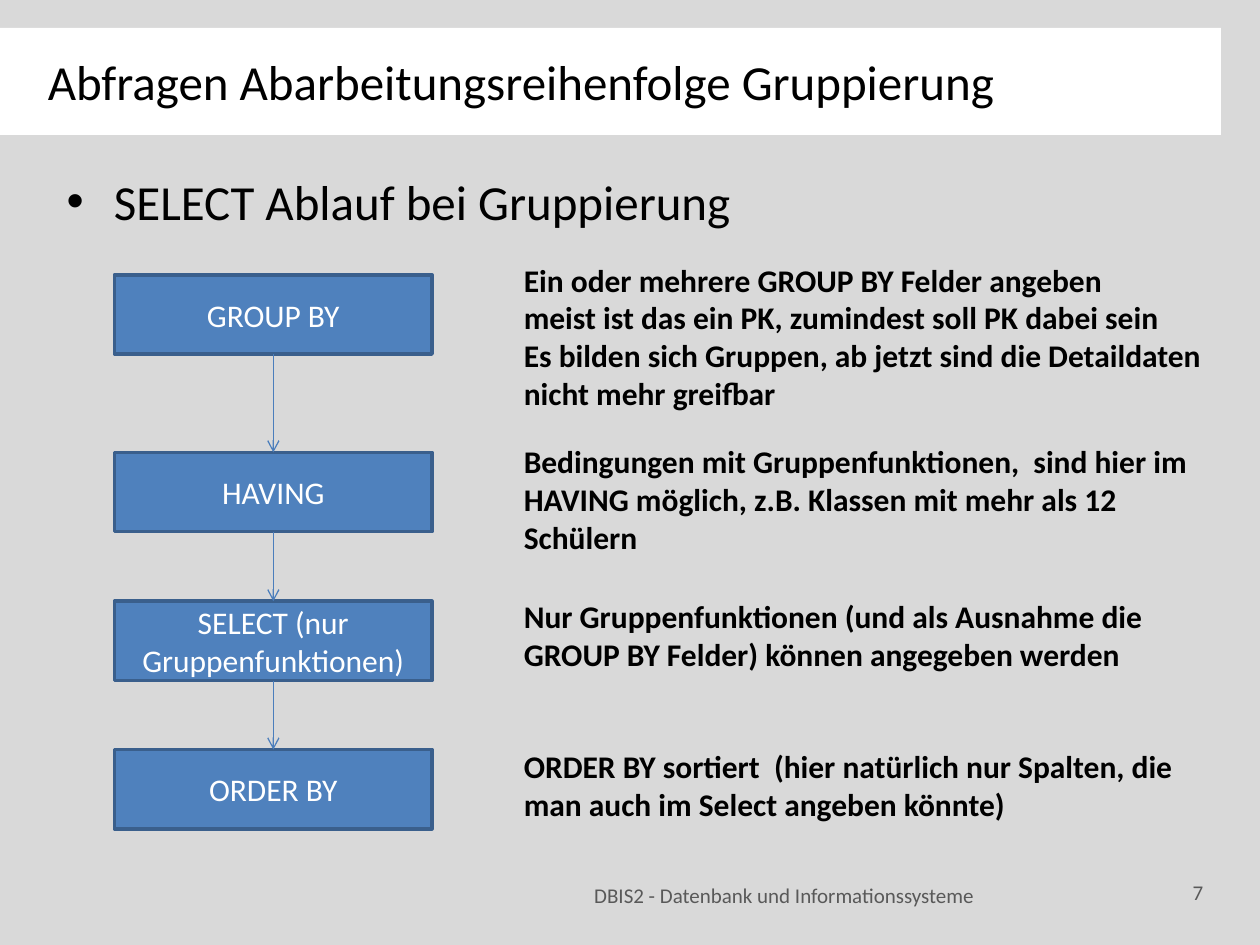
import pptx
import pptx.util
import pptx.dml.color
import pptx.enum.shapes
import pptx.enum.text
import pptx.oxml.ns
from lxml import etree

Cm, Pt = pptx.util.Cm, pptx.util.Pt
ALIGN = pptx.enum.text.PP_ALIGN
ANCHOR = pptx.enum.text.MSO_ANCHOR

HEADING = "Abfragen Abarbeitungsreihenfolge Gruppierung"
TOPIC = "SELECT Ablauf bei Gruppierung"
# step, its top, explanation, its top and height (cm)
STEPS = [
    ("GROUP BY", 5.54,
     "Ein oder mehrere GROUP BY Felder angeben\n"
     "meist ist das ein PK, zumindest soll PK dabei sein\n"
     "Es bilden sich Gruppen, ab jetzt sind die Detaildaten nicht mehr greifbar",
     5.13, 3.33),
    ("HAVING", 9.12,
     "Bedingungen mit Gruppenfunktionen,  sind hier im HAVING möglich, "
     "z.B. Klassen mit mehr als 12 Schülern",
     8.79, 2.57),
    ("SELECT (nur Gruppenfunktionen)", 12.12,
     "Nur Gruppenfunktionen (und als Ausnahme die GROUP BY Felder) "
     "können angegeben werden",
     11.91, 1.8),
    ("ORDER BY", 15.11,
     "ORDER BY sortiert  (hier natürlich nur Spalten, die man auch im Select "
     "angeben könnte)",
     14.94, 1.8),
]
FOOTERS = [
    ("DBIS2 - Datenbank und Informationssysteme", (11.1, 17.53, 8.79, 1.02)),
    ("7", (23.01, 17.48, 1.5, 1.02)),
]
STEP_LEFT, STEP_WIDTH, STEP_HEIGHT = 2.31, 6.4, 1.6
NOTE_LEFT, NOTE_WIDTH = 10.31, 14.2
COLORS = {
    "background": "D9D9D9", "banner": "FFFFFF", "text": "000000",
    "footer": "595959", "step": "4F81BD", "step_line": "3A5F8C",
    "step_text": "FFFFFF", "arrow": "4B7EBC",
}


def rgb(name):
    return pptx.dml.color.RGBColor.from_string(COLORS[name])


def place(shape, left, top, width, height):
    shape.left, shape.top = Cm(left), Cm(top)
    shape.width, shape.height = Cm(width), Cm(height)


def write(shape, text, size, color, align=ALIGN.LEFT, anchor=ANCHOR.TOP, bold=False):
    frame = shape.text_frame
    frame.word_wrap = True
    frame.auto_size = pptx.enum.text.MSO_AUTO_SIZE.NONE
    frame.vertical_anchor = anchor
    paragraph = frame.paragraphs[0]
    paragraph.text = text
    paragraph.alignment = align
    for run in paragraph.runs:
        run.font.name = "Calibri"
        run.font.size = Pt(size)
        run.font.bold = bold
        run.font.color.rgb = rgb(color)


def add_text(slide, box, *args, **options):
    write(slide.shapes.add_textbox(*map(Cm, box)), *args, **options)


def add_step(slide, label, top):
    step = slide.shapes.add_shape(
        pptx.enum.shapes.MSO_SHAPE.RECTANGLE,
        Cm(STEP_LEFT), Cm(top), Cm(STEP_WIDTH), Cm(STEP_HEIGHT))
    step.shadow.inherit = False
    step.fill.solid()
    step.fill.fore_color.rgb = rgb("step")
    step.line.color.rgb = rgb("step_line")
    step.line.width = Pt(2)
    write(step, label, 18, "step_text", ALIGN.CENTER, ANCHOR.MIDDLE)
    return step


def add_arrow(slide, upper, lower):
    arrow = slide.shapes.add_connector(
        pptx.enum.shapes.MSO_CONNECTOR.STRAIGHT, 0, 0, 0, 0)
    arrow.begin_connect(upper, 2)
    arrow.end_connect(lower, 0)
    arrow.line.color.rgb = rgb("arrow")
    arrow.line.width = Pt(0.75)
    qn = pptx.oxml.ns.qn
    etree.SubElement(arrow.line._get_or_add_ln(), qn("a:tailEnd"), type="arrow")
    etree.SubElement(arrow._element.spPr, qn("a:effectLst"))


def main():
    deck = pptx.Presentation()
    deck.slide_width, deck.slide_height = Cm(25.4), Cm(19.05)
    slide = deck.slides.add_slide(deck.slide_layouts[1])
    slide.background.fill.solid()
    slide.background.fill.fore_color.rgb = rgb("background")

    heading = slide.shapes.title
    place(heading, -0.05, 0.56, 24.66, 2.16)
    heading.fill.solid()
    heading.fill.fore_color.rgb = rgb("banner")
    write(heading, HEADING, 28, "text", anchor=ANCHOR.MIDDLE)
    heading.text_frame.paragraphs[0]._p.get_or_add_pPr().set("marL", str(Cm(0.76)))

    topic = slide.placeholders[1]
    place(topic, 1.09, 3.33, 23.39, 13.28)
    write(topic, TOPIC, 28, "text")

    for text, box in FOOTERS:
        add_text(slide, box, text, 12, "footer", ALIGN.RIGHT, ANCHOR.MIDDLE)

    steps = []
    for label, top, note, note_top, note_height in STEPS:
        steps.append(add_step(slide, label, top))
        add_text(slide, (NOTE_LEFT, note_top, NOTE_WIDTH, note_height),
                 note, 18, "text", bold=True)
    for upper, lower in zip(steps, steps[1:]):
        add_arrow(slide, upper, lower)

    deck.save("out.pptx")


if __name__ == "__main__":
    main()
